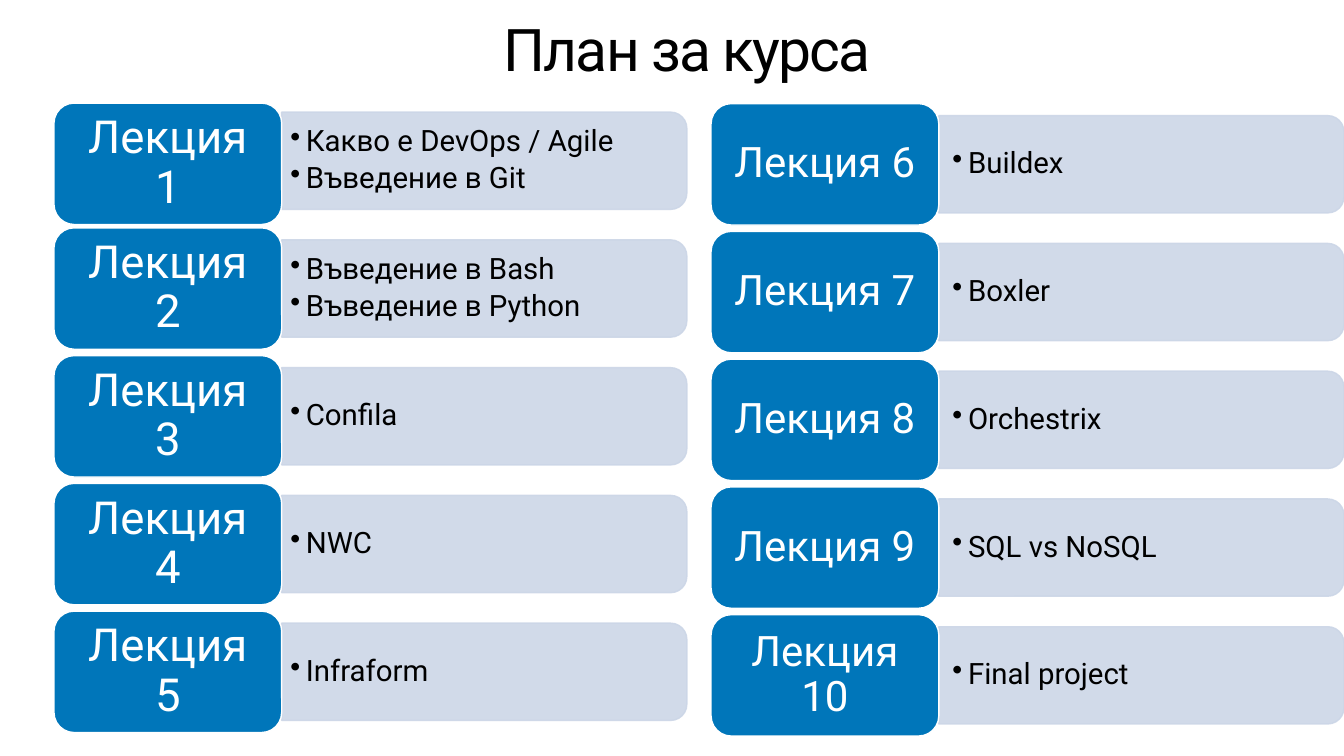
from dataclasses import dataclass

from lxml import etree
from pptx import Presentation
from pptx.dml.color import RGBColor
from pptx.enum.shapes import MSO_SHAPE
from pptx.enum.text import MSO_ANCHOR, PP_ALIGN
from pptx.oxml.ns import qn
from pptx.util import Inches, Pt

ROUND_RECT = MSO_SHAPE.ROUNDED_RECTANGLE
ROUND_TOP = MSO_SHAPE.ROUND_2_SAME_RECTANGLE
MIDDLE, BOTTOM = MSO_ANCHOR.MIDDLE, MSO_ANCHOR.BOTTOM
CENTER, LEFT = PP_ALIGN.CENTER, PP_ALIGN.LEFT


@dataclass(frozen=True)
class Theme:
    font: str = "Roboto"
    black: str = "000000"
    white: str = "FFFFFF"
    blue: str = "0076BA"
    bar: str = "CCD6E7"
    title: int = 84
    topic: int = 42
    line: int = 2


THEME = Theme()
PITCH = 10.14 / 4
LABEL_W, LABEL_H = 4.52, 2.41
BAR_W, BAR_H = 8.04, 1.93
TOPIC_W, TOPIC_H = 7.94, 1.74


@dataclass(frozen=True)
class Column:
    left: float
    center: float        # middle of the first row
    label_size: int
    label_inset: tuple
    topic_inset: tuple
    lectures: tuple
    first_drop: float = 0  # extra drop of the first label


COLUMNS = (
    Column(1.07, 3.19, 65, (0.27, 0.14), (0.17, 0.09), (
        ("Лекция 1", ("Какво е DevOps / Agile", "Въведение в Git")),
        ("Лекция 2", ("Въведение в Bash", "Въведение в Python")),
        ("Лекция 3", ("Confila",)),
        ("Лекция 4", ("NWC",)),
        ("Лекция 5", ("Infraform",)),
    ), first_drop=0.06),
    Column(14.11, 3.26, 60, (0.25, 0.12), (0.27, 0.14), (
        ("Лекция 6", ("Buildex",)),
        ("Лекция 7", ("Boxler",)),
        ("Лекция 8", ("Orchestrix",)),
        ("Лекция 9", ("SQL vs NoSQL",)),
        ("Лекция 10", ("Final project",)),
    )),
)


def set_text(sp, lines, size, color, inset, align=CENTER, anchor=MIDDLE,
             leading=0.9, after=0, bullet=False, tracking=0):
    tf = sp.text_frame
    tf.word_wrap = True
    tf.vertical_anchor = anchor
    tf.margin_left = tf.margin_right = Inches(inset[0])
    tf.margin_top = tf.margin_bottom = Inches(inset[1])
    for i, line in enumerate(lines):
        p = tf.add_paragraph() if i else tf.paragraphs[0]
        p.alignment, p.line_spacing = align, leading
        p.space_after = Pt(after)
        if bullet:
            add_bullet(p)
        r = p.add_run()
        r.text = line
        r.font.name, r.font.size = THEME.font, Pt(size)
        r.font.color.rgb = RGBColor.from_string(color)
        if tracking:
            r.font._element.set("spc", str(int(tracking * 100)))


def add_bullet(p):
    pPr = p._p.get_or_add_pPr()
    p.level = 1
    pPr.set("marL", str(Inches(0.31)))
    pPr.set("indent", str(-Inches(0.31)))
    etree.SubElement(pPr, qn("a:buChar")).set("char", "•")


def set_alpha(sp, percent):
    """Make the fill and the line of a shape partly transparent."""
    for color in sp._element.spPr.iter(qn("a:srgbClr")):
        etree.SubElement(color, qn("a:alpha")).set("val", str(percent * 1000))


def add_box(shapes, kind, x, y, w, h, fill, line):
    sp = shapes.add_shape(kind, Inches(x), Inches(y), Inches(w), Inches(h))
    sp.shadow.inherit = False
    sp.fill.solid()
    sp.fill.fore_color.rgb = RGBColor.from_string(fill)
    sp.line.color.rgb = RGBColor.from_string(line)
    sp.line.width = Pt(THEME.line)
    return sp


def add_textbox(shapes, x, y, w, h, lines, **fmt):
    sp = shapes.add_textbox(Inches(x), Inches(y), Inches(w), Inches(h))
    set_text(sp, lines, **fmt)


def add_lecture(shapes, col, center, drop, name, topics):
    """Add one row: topic bar, its bullets and the lecture label."""
    x = col.left + LABEL_W
    bar = add_box(shapes, ROUND_TOP, x + (BAR_W - BAR_H) / 2,
                  center - BAR_W / 2, BAR_H, BAR_W, THEME.bar, THEME.bar)
    bar.rotation = 90
    set_alpha(bar, 90)
    add_textbox(shapes, x, center - TOPIC_H / 2, TOPIC_W, TOPIC_H, topics,
                size=THEME.topic, color=THEME.black, inset=col.topic_inset,
                align=LEFT, after=7, bullet=True)
    label = add_box(shapes, ROUND_RECT, col.left, center - LABEL_H / 2 + drop,
                    LABEL_W, LABEL_H, THEME.blue, THEME.white)
    set_text(label, [name], col.label_size, THEME.white, col.label_inset)


def add_column(s, col):
    shapes = s.shapes.add_group_shape().shapes
    for i, (name, topics) in enumerate(col.lectures):
        drop = 0 if i else col.first_drop
        add_lecture(shapes, col, col.center + i * PITCH, drop, name, topics)


def main():
    prs = Presentation()
    prs.slide_width, prs.slide_height = Inches(26.67), Inches(15)
    s = prs.slides.add_slide(prs.slide_layouts[6])
    add_textbox(s.shapes, 1.69, 0, 23.89, 1.71, ["План за курса"],
                size=THEME.title, color=THEME.black, inset=(0.06, 0.06),
                anchor=BOTTOM, leading=0.8, tracking=-2.5)
    for col in COLUMNS:
        add_column(s, col)
    prs.save("out.pptx")


if __name__ == "__main__":
    main()
